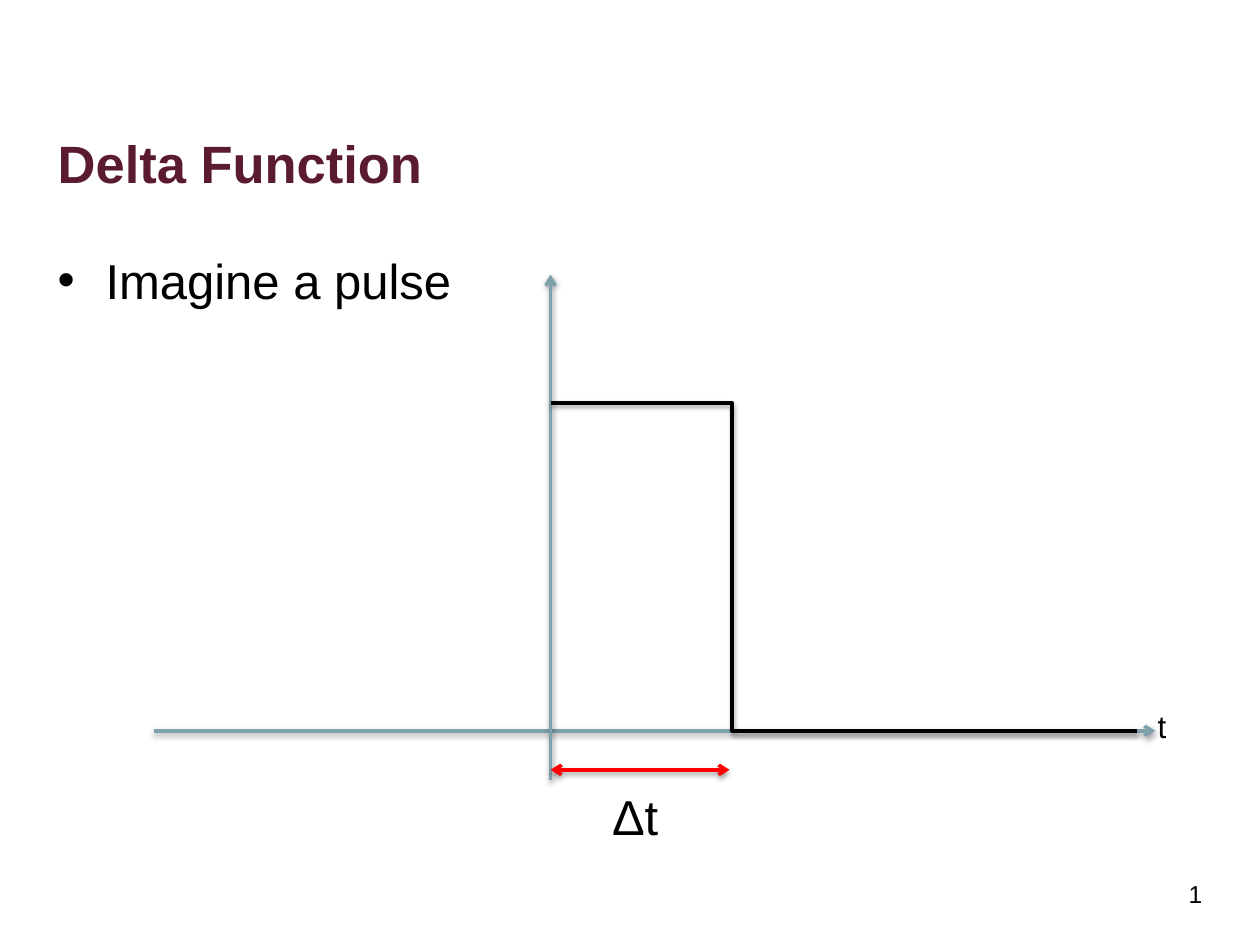
"""Builds the Delta Function slide: a rectangular pulse on a time axis."""
from lxml import etree
from pptx import Presentation
from pptx.dml.color import RGBColor
from pptx.enum.shapes import MSO_CONNECTOR
from pptx.enum.text import MSO_ANCHOR, PP_ALIGN
from pptx.oxml.ns import qn
from pptx.util import Inches, Pt

STRAIGHT, ELBOW = MSO_CONNECTOR.STRAIGHT, MSO_CONNECTOR.ELBOW
LEFT, RIGHT, TOP = PP_ALIGN.LEFT, PP_ALIGN.RIGHT, MSO_ANCHOR.TOP
WIDTH, HEIGHT = 10, 7.5
MARGIN = 0.36
CONTENT = WIDTH - 2 * MARGIN
BLACK, MAROON, AXIS, RED = "000000", "5A1B31", "7FA1AC", "FF0000"

ORIGIN_X, BASE_Y = 4.37, 5.8
PULSE_TOP, PULSE_END, SIGNAL_END = 3.2, 5.81, 9.02
SPAN_Y = 6.11
PULSE_SHARE = (PULSE_END - ORIGIN_X) / (SIGNAL_END - ORIGIN_X)

TEXTS = [
    ("Delta Function", (MARGIN, 0.99, CONTENT, 1.42), LEFT, False,
     {"size": Pt(30), "bold": True}, MAROON),
    ("Imagine a pulse", (MARGIN, 1.94, CONTENT, 4.8), LEFT, True,
     {"size": Pt(28)}, BLACK),
    ("1", (WIDTH - MARGIN - 1.1, 6.93, 1.1, 0.52), RIGHT, False,
     {"size": Pt(14)}, BLACK),
    ("t", (9.09, 5.56, 0.63, 0.4), LEFT, False, {"size": Pt(18)}, BLACK),
    ("Δt", (4.76, 6.19, 0.63, 0.57), LEFT, False, {"size": Pt(28)}, BLACK),
]
LINES = [
    (STRAIGHT, (1.22, BASE_Y), (9.17, BASE_Y), AXIS, ["tailEnd"]),
    (STRAIGHT, (ORIGIN_X, 6.19), (ORIGIN_X, 2.18), AXIS, ["tailEnd"]),
    (ELBOW, (ORIGIN_X, PULSE_TOP), (SIGNAL_END, BASE_Y), BLACK, []),
    (STRAIGHT, (ORIGIN_X, SPAN_Y), (5.79, SPAN_Y), RED, ["headEnd", "tailEnd"]),
]


def color(value):
    return RGBColor.from_string(value)


def add_node(parent, tag, **values):
    return etree.SubElement(parent, qn("a:" + tag), values)


def add_bullet(para):
    props = para._p.get_or_add_pPr()
    props.set("marL", str(Inches(0.38)))
    props.set("indent", str(-Inches(0.38)))
    add_node(add_node(props, "spcBef"), "spcPct", val="20000")
    add_node(props, "buFont", typeface="Arial")
    add_node(props, "buChar", char="•")


def add_text(page, text, place, align, bullet, formats, ink):
    frame = page.shapes.add_textbox(*map(Inches, place)).text_frame
    frame.word_wrap = True
    frame.vertical_anchor = TOP
    para = frame.paragraphs[0]
    para.alignment = align
    if bullet:
        add_bullet(para)
    span = para.add_run()
    span.text = text
    for name, value in {"name": "Arial", **formats}.items():
        setattr(span.font, name, value)
    span.font.color.rgb = color(ink)


def add_line(page, kind, start, end, ink, arrows):
    line = page.shapes.add_connector(kind, *map(Inches, start + end))
    line.line.color.rgb = color(ink)
    line.line.width = Pt(2)
    for arrow in arrows:
        add_node(line.line._ln, arrow, type="arrow")
    props = line._element.spPr
    if kind == ELBOW:
        guides = props.find(".//" + qn("a:avLst"))
        add_node(guides, "gd", name="adj1", fmla=f"val {round(PULSE_SHARE * 100000)}")
    shadow = add_node(add_node(props, "effectLst"), "outerShdw",
                      blurRad=str(Pt(3.1)), dist=str(Pt(1.6)),
                      dir="5400000", rotWithShape="0")
    add_node(add_node(shadow, "srgbClr", val=BLACK), "alpha", val="38000")


deck = Presentation()
deck.slide_width, deck.slide_height = Inches(WIDTH), Inches(HEIGHT)
page = deck.slides.add_slide(deck.slide_layouts[6])
for item in LINES:
    add_line(page, *item)
for item in TEXTS:
    add_text(page, *item)
deck.save("out.pptx")
